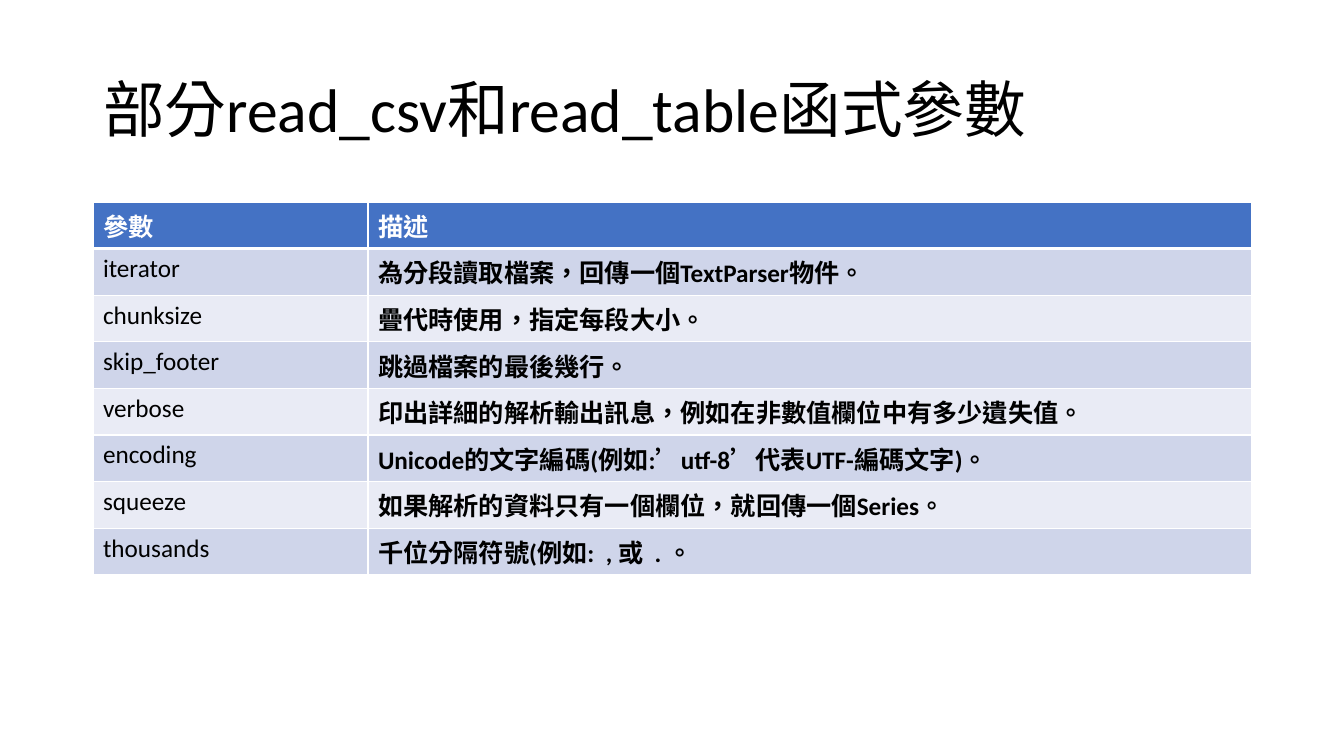
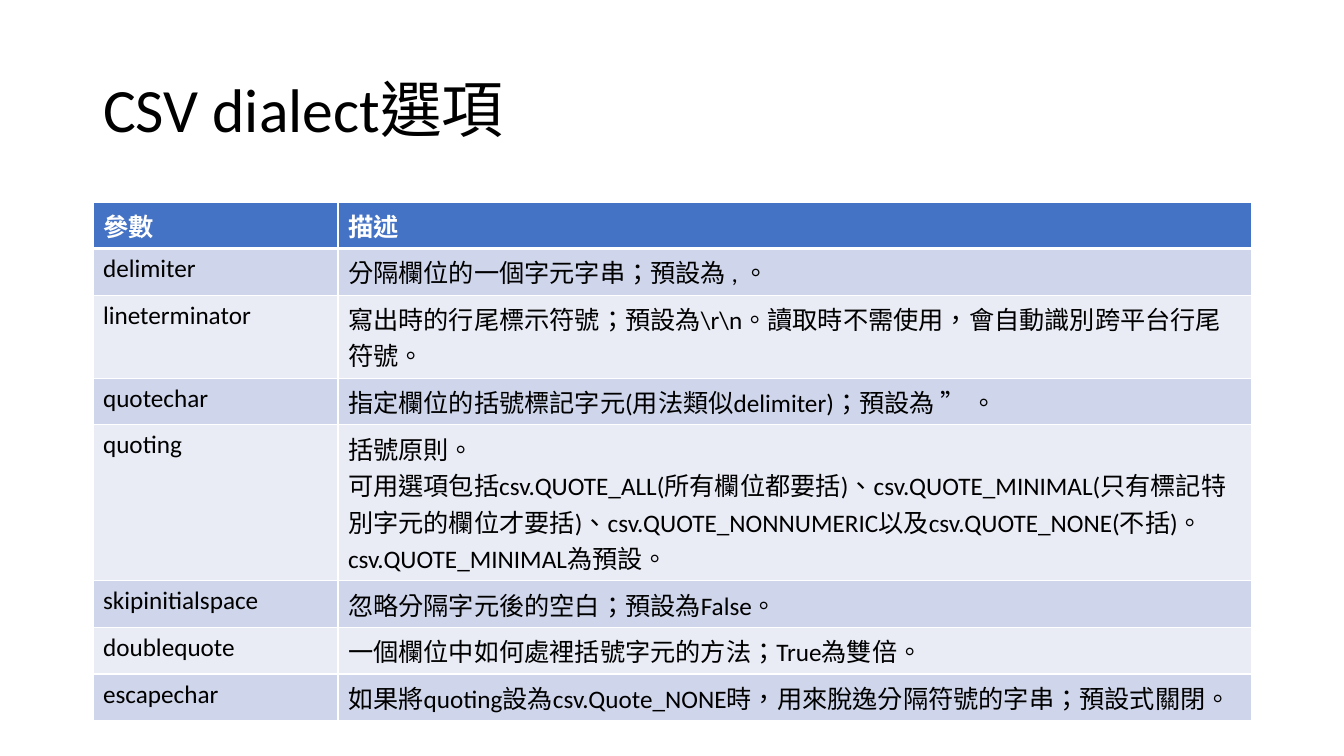
import pptx
import pptx.util
import pptx.dml.color
import pptx.enum.text
import pptx.oxml
import pptx.oxml.ns

SCALE = 9144000 / 1008  # EMU per pixel
FONT = "Calibri"
COLORS = {
    "text": "000000",
    "header": "4472C4",
    "header_text": "FFFFFF",
    "border": "FFFFFF",
    "band_dark": "CFD5EA",
    "band_light": "E9EBF5",
}
LEFT, WIDTH = 93, 1159
TITLE_TOP, TITLE_HEIGHT = 40, 146
TABLE_TOP, ROW_HEIGHT = 202, 41


def px(n):
    return pptx.util.Emu(round(n * SCALE))


def rgb(name):
    return pptx.dml.color.RGBColor.from_string(COLORS[name])


class Deck:
    """Shared style and the current slide."""

    def __init__(self):
        self.prs = pptx.Presentation()
        self.prs.slide_width, self.prs.slide_height = px(1344), px(756)
        self.s = None

    def slide(self, title):
        self.s = self.prs.slides.add_slide(self.prs.slide_layouts[5])
        sp = self.s.shapes.title
        sp.left, sp.top = px(LEFT), px(TITLE_TOP)
        sp.width, sp.height = px(WIDTH), px(TITLE_HEIGHT)
        tf = sp.text_frame
        tf.word_wrap = True
        tf.auto_size = pptx.enum.text.MSO_AUTO_SIZE.NONE
        tf.vertical_anchor = pptx.enum.text.MSO_ANCHOR.MIDDLE
        p = tf.paragraphs[0]
        p.line_spacing = 0.9
        self.run(p, title, 44, "text")

    def run(self, p, text, size, color, bold=False):
        p.alignment = pptx.enum.text.PP_ALIGN.LEFT
        r = p.add_run()
        r.text = text
        r.font.name, r.font.size = FONT, pptx.util.Pt(size)
        r.font.bold = bold
        r.font.color.rgb = rgb(color)
        r._r.get_or_add_rPr().set("lang", "zh-TW")

    def borders(self, cell, top, bottom):
        tc_pr = cell._tc.get_or_add_tcPr()
        for side, width in (("L", 1), ("R", 1), ("T", top), ("B", bottom)):
            tc_pr.append(pptx.oxml.parse_xml(
                f'<a:ln{side} {pptx.oxml.ns.nsdecls("a")} w="{pptx.util.Pt(width)}">'
                f'<a:solidFill><a:srgbClr val="{COLORS["border"]}"/></a:solidFill>'
                f'</a:ln{side}>'))

    def cell(self, cell, text, fill, color, bold, top, bottom):
        self.borders(cell, top, bottom)
        cell.fill.solid()
        cell.fill.fore_color.rgb = rgb(fill)
        tf = cell.text_frame
        for i, line in enumerate(text.split("\n")):
            p = tf.add_paragraph() if i else tf.paragraphs[0]
            self.run(p, line, 18, color, bold)

    def table(self, name_width, rows, bold_descriptions=False):
        rows = [("參數", "描述")] + rows
        tbl = self.s.shapes.add_table(
            len(rows), 2, px(LEFT), px(TABLE_TOP),
            px(WIDTH), px(ROW_HEIGHT * len(rows))).table
        for col, width in zip(tbl.columns, (name_width, WIDTH - name_width)):
            col.width = px(width)
        for i, row in enumerate(rows):
            tbl.rows[i].height = px(ROW_HEIGHT)
            header = i == 0
            fill = "header" if header else ("band_light", "band_dark")[i % 2]
            color = "header_text" if header else "text"
            for j, text in enumerate(row):
                bold = header or (bold_descriptions and j == 1)
                self.cell(tbl.cell(i, j), text, fill, color, bold,
                          top=3 if i == 1 else 1, bottom=3 if header else 1)


deck = Deck()

# Function parameters
deck.slide("部分read_csv和read_table函式參數")
deck.table(275, [
    ("iterator", "為分段讀取檔案，回傳一個TextParser物件。"),
    ("chunksize", "疊代時使用，指定每段大小。"),
    ("skip_footer", "跳過檔案的最後幾行。"),
    ("verbose", "印出詳細的解析輸出訊息，例如在非數值欄位中有多少遺失值。"),
    ("encoding", "Unicode的文字編碼(例如:’utf-8’代表UTF-編碼文字)。"),
    ("squeeze", "如果解析的資料只有一個欄位，就回傳一個Series。"),
    ("thousands", "千位分隔符號(例如:  , 或  . 。"),
], bold_descriptions=True)

# Dialect options
deck.slide("CSV dialect選項")
deck.table(245, [
    ("delimiter", "分隔欄位的一個字元字串；預設為 , 。"),
    ("lineterminator",
     "寫出時的行尾標示符號；預設為\\r\\n。讀取時不需使用，會自動識別跨平台行尾符號。"),
    ("quotechar", "指定欄位的括號標記字元(用法類似delimiter)；預設為 ” 。"),
    ("quoting",
     "括號原則。\n"
     "可用選項包括csv.QUOTE_ALL(所有欄位都要括)、"
     "csv.QUOTE_MINIMAL(只有標記特別字元的欄位才要括)、"
     "csv.QUOTE_NONNUMERIC以及csv.QUOTE_NONE(不括)。"
     "csv.QUOTE_MINIMAL為預設。"),
    ("skipinitialspace", "忽略分隔字元後的空白；預設為False。"),
    ("doublequote", "一個欄位中如何處裡括號字元的方法；True為雙倍。"),
    ("escapechar",
     "如果將quoting設為csv.Quote_NONE時，用來脫逸分隔符號的字串；預設式關閉。"),
])

deck.prs.save("out.pptx")
